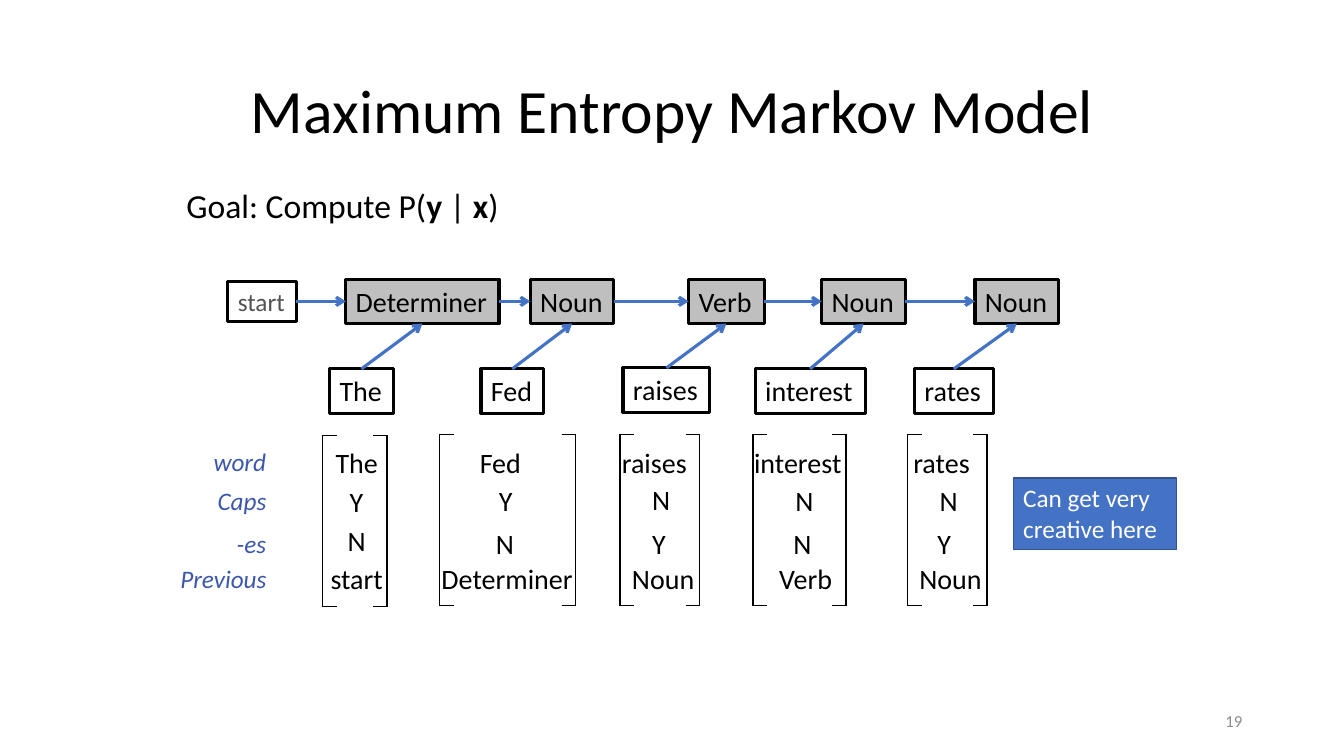
from lxml import etree
from pptx import Presentation, util as u
from pptx.dml.color import RGBColor
from pptx.enum import shapes, text
from pptx.oxml.ns import qn

# Content, lengths in px (100 px to the inch)
SCALE = 9144
FONT = "Calibri"
COLORS = {"black": "000000", "gray": "BFBFBF", "start": "525252", "blue": "4472C4",
          "edge": "325491", "label": "3C58AD", "white": "FFFFFF", "number": "8C8C8C"}
TITLE = "Maximum Entropy Markov Model"
GOAL = [("Goal: Compute P(", False), ("y", True), (" | ", False), ("x", True), (")", False)]
NOTE = "Can get very creative here"
PAGE = "19"

WIDTHS = {"Determiner": 152, "Noun": 83, "Verb": 75, "The": 63, "Fed": 62, "raises": 86,
          "interest": 109, "rates": 78, "start": 73, "Y": 34, "N": 38,
          "word": 73, "Caps": 69, "-es": 50, "Previous": 106}
TAGS = [("Determiner", 343), ("Noun", 526), ("Verb", 683), ("Noun", 815), ("Noun", 967)]
WORDS = [("The", 327, 366), ("Fed", 477, 366), ("raises", 618, 365),
         ("interest", 749, 366), ("rates", 907, 366)]
TAG_TOP, BOX_H = 277, 44
START_BOX = (226, 279, 68, 40)

FEATURE_LABELS = [("word", 438), ("Caps", 477), ("-es", 519), ("Previous", 554)]
LABEL_RIGHT = 275
# Per word: bracket left, right, top, bottom; then (value, left, top)
FEATURES = [
    ((320, 384, 432, 602), [("The", 323, 437), ("Y", 337, 476), ("N", 335, 514), ("start", 318, 552)]),
    ((436, 571, 431, 601), [("Fed", 466, 437), ("Y", 485, 475), ("N", 482, 517), ("Determiner", 428, 552)]),
    ((615, 694, 431, 601), [("raises", 607, 437), ("N", 637, 474), ("Y", 637, 517), ("Noun", 617, 552)]),
    ((747, 839, 431, 601), [("interest", 738, 437), ("N", 779, 475), ("N", 777, 517), ("Verb", 763, 552)]),
    ((900, 979, 431, 601), [("rates", 896, 437), ("N", 922, 475), ("Y", 920, 517), ("Noun", 902, 552)]),
]
BRACKET_ARM = 14

prs = Presentation()
prs.slide_width, prs.slide_height = 1333 * SCALE, 750 * SCALE
slide = prs.slides.add_slide(prs.slide_layouts[6])


def rgb(name):
    return RGBColor.from_string(COLORS[name])


def emu(*lengths):
    return [length * SCALE for length in lengths]


def write(holder, runs, size, color="black", italic=False, wrap=False,
          align=text.PP_ALIGN.LEFT, anchor=text.MSO_ANCHOR.TOP):
    frame = holder.text_frame
    frame.word_wrap = wrap
    frame.vertical_anchor = anchor
    paragraph = frame.paragraphs[0]
    paragraph.alignment = align
    for words, bold in runs:
        run = paragraph.add_run()
        run.text = words
        run.font.name, run.font.size = FONT, u.Pt(size)
        run.font.bold, run.font.italic = bold, italic
        run.font.color.rgb = rgb(color)
    return paragraph


def label(box, runs, size, **style):
    return write(slide.shapes.add_textbox(*emu(*box)), runs, size, **style)


def block(box, words, size, fill=None, edge="black", weight=2.25, **style):
    rect = slide.shapes.add_shape(shapes.MSO_SHAPE.RECTANGLE, *emu(*box))
    rect.shadow.inherit = False
    if fill:
        rect.fill.solid()
        rect.fill.fore_color.rgb = rgb(fill)
    else:
        rect.fill.background()
    rect.line.color.rgb, rect.line.width = rgb(edge), u.Pt(weight)
    write(rect, [(words, False)], size, **style)
    return rect


def line(x1, y1, x2, y2, color="black", weight=1):
    stroke = slide.shapes.add_connector(shapes.MSO_CONNECTOR.STRAIGHT, *emu(x1, y1, x2, y2))
    stroke.line.color.rgb, stroke.line.width = rgb(color), u.Pt(weight)
    etree.SubElement(stroke._element.spPr, qn("a:effectLst"))
    return stroke


def arrow(source, source_side, target, target_side):
    stroke = line(0, 0, 0, 0, "blue", 2.25)
    stroke.begin_connect(source, source_side)
    stroke.end_connect(target, target_side)
    etree.SubElement(stroke.line._get_or_add_ln(), qn("a:tailEnd"), type="arrow")


# Title, goal and page number
title = label((92, 40, 1150, 145), [(TITLE, False)], 44, wrap=True,
              align=text.PP_ALIGN.CENTER, anchor=text.MSO_ANCHOR.MIDDLE)
title.line_spacing = 0.9
label((175, 179, 332, 50), GOAL, 24)
label((942, 695, 300, 40), [(PAGE, False)], 12, color="number", wrap=True,
      align=text.PP_ALIGN.RIGHT, anchor=text.MSO_ANCHOR.MIDDLE)

# Tag chain above the words
start = block(START_BOX, "start", 18, color="start")
tags = [block((left, TAG_TOP, WIDTHS[tag], BOX_H), tag, 20, fill="gray") for tag, left in TAGS]
words = [block((left, top, WIDTHS[word], BOX_H), word, 20) for word, left, top in WORDS]
for previous, tag in zip([start] + tags, tags):
    arrow(previous, 3, tag, 1)
for word, tag in zip(words, tags):
    arrow(word, 0, tag, 2)

# Feature names
for name, top in FEATURE_LABELS:
    label((LABEL_RIGHT - WIDTHS[name], top, WIDTHS[name], 40), [(name, False)], 18,
          color="label", italic=True)

# Feature vectors in square brackets
for (left, right, top, bottom), values in FEATURES:
    for value, x, y in values:
        label((x, y, WIDTHS[value], BOX_H), [(value, False)], 20)
    for side, inner in ((left, left + BRACKET_ARM), (right, right - BRACKET_ARM)):
        line(side, top, side, bottom)
        for y in (top, bottom):
            line(min(side, inner), y, max(side, inner), y)

# Side note
block((1005, 474, 162, 71), NOTE, 18, fill="blue", edge="edge", weight=1, color="white", wrap=True)

prs.save("out.pptx")
